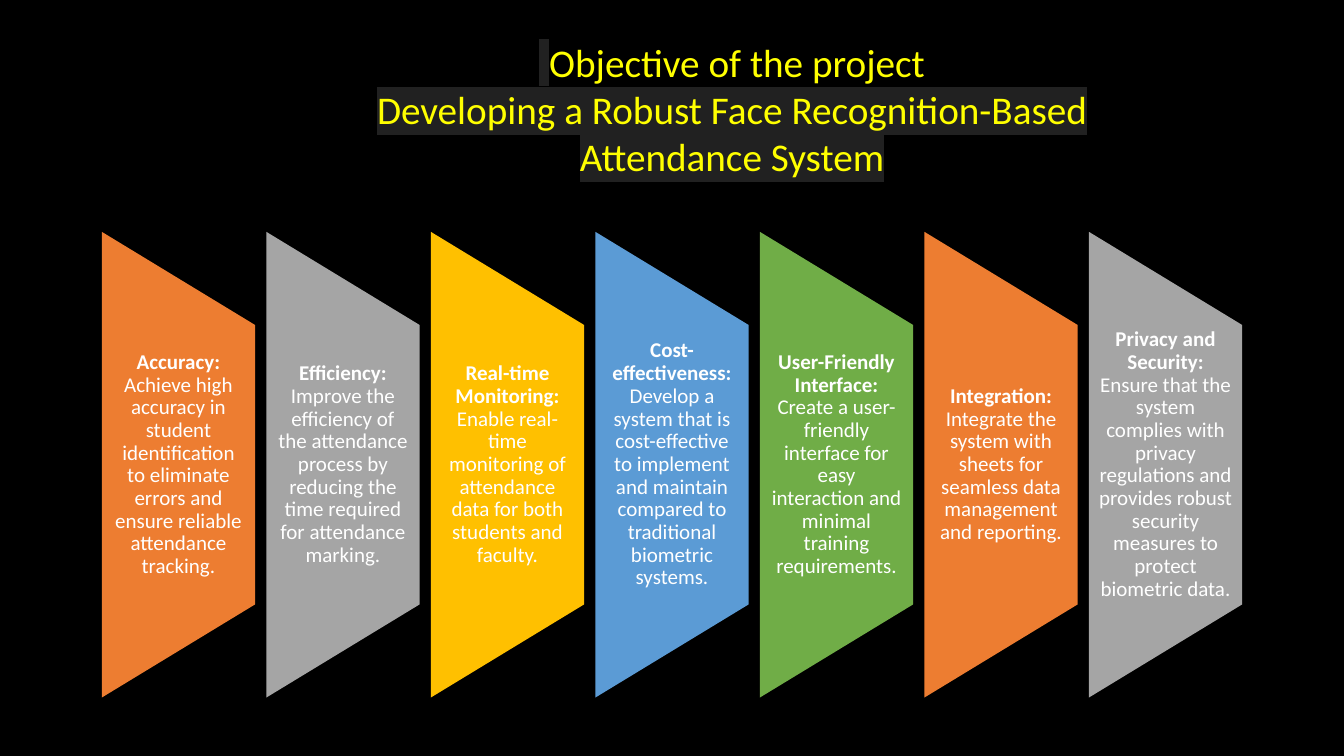
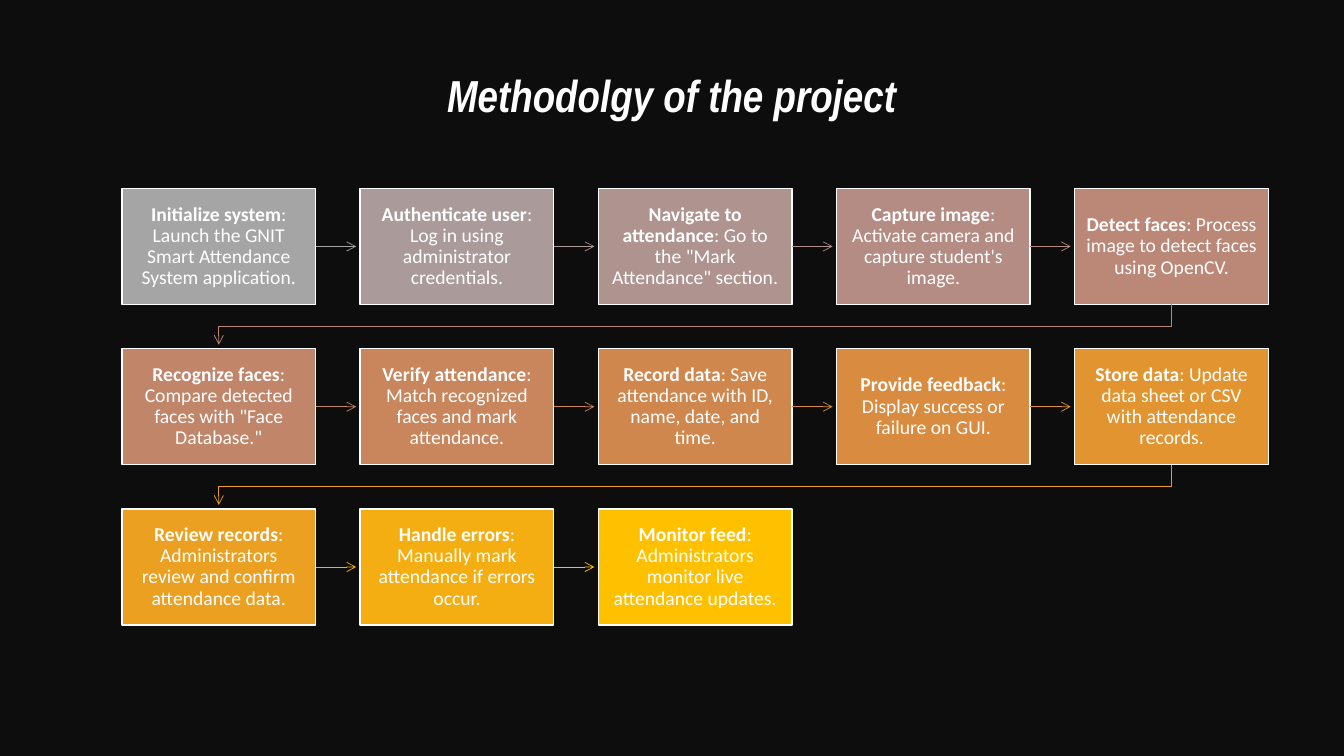
from colorsys import hls_to_rgb
from dataclasses import dataclass
from itertools import pairwise

from lxml import etree
from pptx import Presentation
from pptx.dml.color import RGBColor
from pptx.enum.shapes import MSO_CONNECTOR, MSO_SHAPE
from pptx.enum.text import MSO_ANCHOR, MSO_AUTO_SIZE, PP_ALIGN
from pptx.oxml.ns import qn
from pptx.util import Inches, Pt

CENTER = PP_ALIGN.CENTER
TOP, MIDDLE = MSO_ANCHOR.TOP, MSO_ANCHOR.MIDDLE
NO_AUTOSIZE = MSO_AUTO_SIZE.NONE
RECTANGLE = MSO_SHAPE.RECTANGLE
SLANTED_PANEL = MSO_SHAPE.FLOWCHART_MANUAL_OPERATION
STRAIGHT = MSO_CONNECTOR.STRAIGHT
TITLE_ONLY = 5
RIGHT_SIDE = 3


@dataclass(frozen=True)
class Theme:
    objective_background: str = "000000"
    method_background: str = "0D0D0D"
    white: str = "FFFFFF"
    title_yellow: str = "FFFF00"
    pale: str = "ECECEC"
    highlight: str = "212121"
    panels: tuple = ("ED7D31", "A5A5A5", "FFC000", "5B9BD5", "70AD47")
    flow_start: tuple = (0, 0.647, 0)
    flow_end: tuple = (0.1255, 0.5, 1)
    body_font: str = "Calibri"
    space_font: str = "Lato"
    method_font: str = "Arial Narrow"
    objective_title: int = 28
    method_title: int = 32
    panel_text: int = 15
    step_text: int = 14
    line_spacing: float = 0.9
    border: float = 1
    link: float = 0.5


THEME = Theme()

OBJECTIVES = [
    ("Accuracy:", " Achieve high accuracy in student identification to eliminate errors and ensure reliable attendance tracking."),
    ("Efficiency:", " Improve the efficiency of the attendance process by reducing the time required for attendance marking."),
    ("Real-time Monitoring:", " Enable real-time monitoring of attendance data for both students and faculty."),
    ("Cost-effectiveness:", " Develop a system that is cost-effective to implement and maintain compared to traditional biometric systems."),
    ("User-Friendly Interface:", " Create a user-friendly interface for easy interaction and minimal training requirements."),
    ("Integration:", " Integrate the system with sheets for seamless data management and reporting."),
    ("Privacy and Security:", " Ensure that the system complies with privacy regulations and provides robust security measures to protect biometric data."),
]

STEPS = [
    ("Initialize system", ": Launch the GNIT Smart Attendance System application."),
    ("Authenticate user", ": Log in using administrator credentials."),
    ("Navigate to attendance", ": Go to the \"Mark Attendance\" section."),
    ("Capture image", ": Activate camera and capture student's image."),
    ("Detect faces", ": Process image to detect faces using OpenCV."),
    ("Recognize faces", ": Compare detected faces with \"Face Database.\""),
    ("Verify attendance", ": Match recognized faces and mark attendance."),
    ("Record data", ": Save attendance with ID, name, date, and time."),
    ("Provide feedback", ": Display success or failure on GUI."),
    ("Store data", ": Update data sheet or CSV with attendance records."),
    ("Review records", ": Administrators review and confirm attendance data."),
    ("Handle errors", ": Manually mark attendance if errors occur."),
    ("Monitor feed", ": Administrators monitor live attendance updates."),
]


def rgb(color):
    return RGBColor.from_string(color)


def add_run(paragraph, text, size, color, font=THEME.body_font,
            bold=False, italic=False, highlight=None):
    run = paragraph.add_run()
    run.text = text
    run.font.size = Pt(size)
    run.font.name = font
    run.font.bold = bold
    run.font.italic = italic
    run.font.color.rgb = rgb(color)
    if highlight:
        mark = etree.Element(qn("a:highlight"))
        etree.SubElement(mark, qn("a:srgbClr"), val=highlight)
        run.font.fill._xPr.find(qn("a:solidFill")).addnext(mark)


def add_slide(deck, background):
    slide = deck.slides.add_slide(deck.slide_layouts[TITLE_ONLY])
    slide.background.fill.solid()
    slide.background.fill.fore_color.rgb = rgb(background)
    return slide


def place_title(slide, box, lines):
    title = slide.shapes.title
    title.left, title.top, title.width, title.height = map(Inches, box)
    frame = title.text_frame
    frame.word_wrap = True
    frame.auto_size = NO_AUTOSIZE
    frame.vertical_anchor = TOP
    for index, runs in enumerate(lines):
        paragraph = frame.add_paragraph() if index else frame.paragraphs[0]
        paragraph.alignment = CENTER
        paragraph.line_spacing = 1.0
        paragraph.space_before = Pt(0)
        for text, style in runs:
            add_run(paragraph, text, **style)


def write_topic(frame, heading, detail, size, side_inset, end_inset):
    frame.word_wrap = True
    frame.vertical_anchor = MIDDLE
    frame.margin_left = frame.margin_right = Inches(side_inset)
    frame.margin_top = frame.margin_bottom = Inches(end_inset)
    paragraph = frame.paragraphs[0]
    paragraph.alignment = CENTER
    paragraph.line_spacing = THEME.line_spacing
    add_run(paragraph, heading, size, THEME.white, bold=True)
    add_run(paragraph, detail, size, THEME.white)


def paint(shape, fill):
    shape.shadow.inherit = False
    shape.fill.solid()
    shape.fill.fore_color.rgb = rgb(fill)


def draw_panels(slide, box, objectives):
    left, top, width, height = box
    panel_width = 1.52
    pitch = (width - panel_width) / (len(objectives) - 1)
    for index, (heading, detail) in enumerate(objectives):
        x = left + index * pitch
        shift = (height - panel_width) / 2
        panel = slide.shapes.add_shape(
            SLANTED_PANEL, Inches(x - shift), Inches(top + shift),
            Inches(height), Inches(panel_width))
        panel.rotation = 270
        paint(panel, THEME.panels[index % len(THEME.panels)])
        panel.line.fill.background()
        label = slide.shapes.add_textbox(
            Inches(x), Inches(top + height * 0.2),
            Inches(panel_width), Inches(height * 0.6))
        write_topic(label.text_frame, heading, detail,
                    THEME.panel_text, 0.1, 0)


def flow_color(share):
    hue, lightness, saturation = (
        start + (end - start) * share
        for start, end in zip(THEME.flow_start, THEME.flow_end))
    return "".join(f"{round(channel * 255):02X}"
                   for channel in hls_to_rgb(hue, lightness, saturation))


def style_link(link, color):
    link.line.color.rgb = rgb(color)
    link.line.width = Pt(THEME.link)
    properties = link._element.spPr
    etree.SubElement(properties.find(qn("a:ln")), qn("a:tailEnd"), type="arrow")
    if properties.find(qn("a:effectLst")) is None:
        etree.SubElement(properties, qn("a:effectLst"))


def link_steps(slide, source, target, color):
    gap = Inches(0.04)
    if source.top == target.top:
        y = source.top + source.height // 2
        link = slide.shapes.add_connector(
            STRAIGHT, source.left + source.width, y, target.left - gap, y)
        link.begin_connect(source, RIGHT_SIDE)
    else:
        start_x = source.left + source.width // 2
        end_x = target.left + target.width // 2
        bottom = source.top + source.height
        turn = (bottom + target.top) // 2
        route = slide.shapes.build_freeform(start_x, bottom)
        route.add_line_segments(
            [(start_x, turn), (end_x, turn), (end_x, target.top - gap)],
            close=False)
        link = route.convert_to_shape()
        link.fill.background()
    style_link(link, color)


def draw_flow(slide, box, steps, columns=5):
    left, top, width, height = box
    step_width, step_height = 1.92, 1.15
    rows = -(-len(steps) // columns)
    pitch_x = (width - step_width) / (columns - 1)
    pitch_y = (height - step_height) / (rows - 1)
    nodes = []
    for index, (heading, detail) in enumerate(steps):
        row, column = divmod(index, columns)
        node = slide.shapes.add_shape(
            RECTANGLE, Inches(left + column * pitch_x),
            Inches(top + row * pitch_y),
            Inches(step_width), Inches(step_height))
        paint(node, flow_color(index / (len(steps) - 1)))
        node.line.color.rgb = rgb(THEME.white)
        node.line.width = Pt(THEME.border)
        write_topic(node.text_frame, heading, detail,
                    THEME.step_text, 0.11, 0.11)
        nodes.append(node)
    for index, (source, target) in enumerate(pairwise(nodes)):
        link_steps(slide, source, target, flow_color(index / (len(nodes) - 2)))


def build_objective(deck):
    slide = add_slide(deck, THEME.objective_background)
    heading = {"size": THEME.objective_title, "color": THEME.title_yellow}
    marked = {**heading, "highlight": THEME.highlight}
    lead = {**marked, "color": THEME.pale, "font": THEME.space_font}
    place_title(slide, (2.74, 0.33, 9.04, 1.51), [
        [(" ", lead), ("Objective of the project", heading)],
        [("Developing a Robust Face Recognition-Based Attendance System", marked)],
    ])
    draw_panels(slide, (1.01, 2.3, 11.31, 4.62), OBJECTIVES)


def build_method(deck):
    slide = add_slide(deck, THEME.method_background)
    heading = {"size": THEME.method_title, "color": THEME.white,
               "font": THEME.method_font, "bold": True, "italic": True}
    place_title(slide, (2.28, 0.62, 8.77, 0.64),
                [[("Methodolgy of the project", heading)]])
    draw_flow(slide, (1.21, 1.87, 11.37, 4.33), STEPS)


def main():
    deck = Presentation()
    deck.slide_width, deck.slide_height = Inches(13.33), Inches(7.5)
    build_objective(deck)
    build_method(deck)
    deck.save("out.pptx")


if __name__ == "__main__":
    main()
